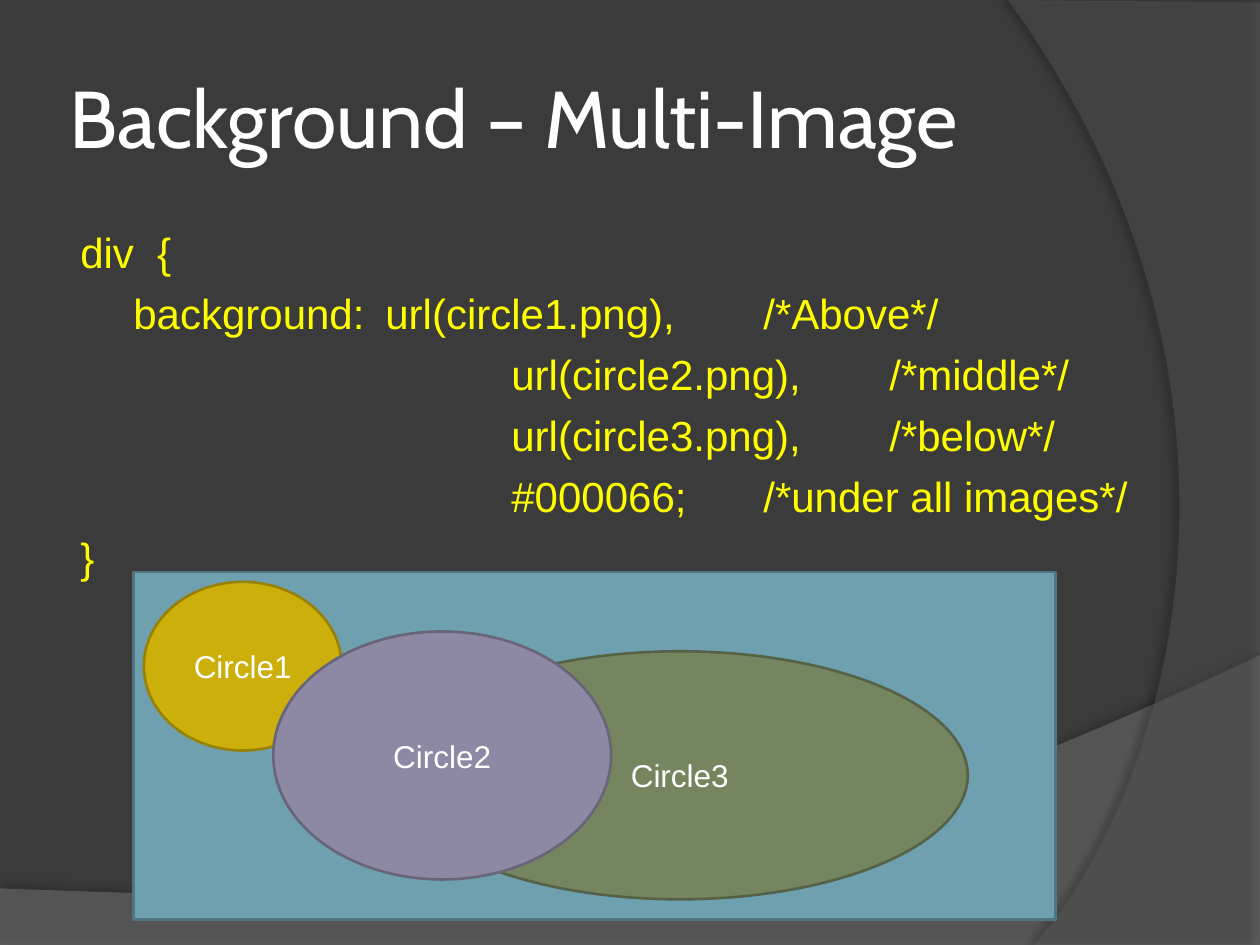
"""Build the slide on CSS backgrounds with several images."""
from lxml.etree import SubElement
from pptx import Presentation
from pptx.dml.color import RGBColor
from pptx.enum.shapes import MSO_SHAPE as Preset
from pptx.enum.text import MSO_ANCHOR as Anchor, PP_ALIGN as Align
from pptx.oxml.ns import qn
from pptx.util import Cm, Pt

BACKGROUND = RGBColor(0x3B, 0x3B, 0x3B)
BAND = RGBColor(0x7F, 0x7F, 0x7F)
ARC = RGBColor(0x5E, 0x5E, 0x5E)
WHITE = RGBColor(0xFF, 0xFF, 0xFF)
YELLOW = RGBColor(0xFF, 0xFF, 0x00)
BLUE, BLUE_EDGE = RGBColor(0x6E, 0xA0, 0xB0), RGBColor(0x51, 0x76, 0x82)
GOLD, GOLD_EDGE = RGBColor(0xCC, 0xAF, 0x0A), RGBColor(0x97, 0x81, 0x07)
GREEN, GREEN_EDGE = RGBColor(0x74, 0x85, 0x60), RGBColor(0x56, 0x62, 0x47)
MAUVE, MAUVE_EDGE = RGBColor(0x8D, 0x89, 0xA4), RGBColor(0x68, 0x65, 0x79)

CODE = [
    "div  {",
    "\tbackground:\turl(circle1.png),\t/*Above*/",
    "\t\t\t\turl(circle2.png),\t/*middle*/",
    "\t\t\t\turl(circle3.png),\t/*below*/",
    "\t\t\t\t#000066;\t/*under all images*/",
    "}",
]
CIRCLES = [
    ("Circle1", (2.9, 11.73, 3.99, 3.4), GOLD, GOLD_EDGE),
    ("Circle3", (7.9, 13.13, 11.61, 5), GREEN, GREEN_EDGE),
    ("Circle2", (5.51, 12.73, 6.81, 5), MAUVE, MAUVE_EDGE),
]


def write(frame, lines, *, size, color, font="Arial", align=Align.LEFT,
          anchor=Anchor.TOP, before=0, hanging=None):
    """Fill a text frame with one paragraph per line."""
    frame.word_wrap = True
    frame.vertical_anchor = anchor
    for number, line in enumerate(lines):
        paragraph = frame.add_paragraph() if number else frame.paragraphs[0]
        paragraph.alignment = align
        paragraph.space_before = Pt(before)
        if hanging:
            margin, indent = hanging
            properties = paragraph._p.get_or_add_pPr()
            properties.set("marL", str(Cm(margin)))
            properties.set("indent", str(Cm(indent)))
            properties.set("defTabSz", str(Cm(2.54)))
        run = paragraph.add_run()
        run.text = line
        run.font.name = font
        run.font.size = Pt(size)
        run.font.color.rgb = color


def add_text(slide, box, lines, **text_format):
    """Add a text box and return its frame."""
    frame = slide.shapes.add_textbox(*map(Cm, box)).text_frame
    write(frame, lines, **text_format)
    return frame


def add_figure(slide, preset, box, fill, edge):
    """Add an outlined preset shape."""
    figure = slide.shapes.add_shape(preset, *map(Cm, box))
    figure.shadow.inherit = False
    figure.fill.solid()
    figure.fill.fore_color.rgb = fill
    figure.line.color.rgb = edge
    figure.line.width = Pt(1.5)
    return figure


def curve_points(start, pull_out, pull_in, end, steps=60):
    """Return points along a cubic curve, without its start."""
    points = []
    for step in range(1, steps + 1):
        t = step / steps
        weights = ((1 - t) ** 3, 3 * t * (1 - t) ** 2, 3 * t * t * (1 - t), t ** 3)
        points.append(tuple(
            sum(weight * value for weight, value in zip(weights, axis))
            for axis in zip(start, pull_out, pull_in, end)))
    return points


def add_sweep(slide, corners, curve, fill, opacity, shade, distance, direction):
    """Add a translucent, shadowed area bounded by corners and a curve."""
    points = [(Cm(x), Cm(y)) for x, y in corners + curve_points(corners[-1], *curve)]
    builder = slide.shapes.build_freeform(*points[0])
    builder.add_line_segments(points[1:], close=True)
    sweep = builder.convert_to_shape()
    sweep.shadow.inherit = False
    sweep.fill.solid()
    sweep.fill.fore_color.rgb = fill
    sweep.line.fill.background()
    properties = sweep._element.spPr
    tint = properties.find(qn("a:solidFill")).find(qn("a:srgbClr"))
    SubElement(tint, qn("a:alpha"), val=str(opacity * 1000))
    shadow = SubElement(properties.find(qn("a:effectLst")), qn("a:outerShdw"),
                        blurRad=str(Pt(4)), dist=str(Pt(distance)),
                        dir=str(direction * 60000), algn="ctr", rotWithShape="0")
    black = SubElement(shadow, qn("a:srgbClr"), val="000000")
    SubElement(black, qn("a:alpha"), val=str(shade * 1000))


def main():
    """Build and save the slide."""
    deck = Presentation()
    deck.slide_width, deck.slide_height = Cm(25.4), Cm(19.05)
    slide = deck.slides.add_slide(deck.slide_layouts[6])
    slide.background.fill.solid()
    slide.background.fill.fore_color.rgb = BACKGROUND

    add_sweep(slide, [(0, 17.91), (0, 19.05), (25.4, 19.05), (25.4, 13.21)],
              [(14.2, 18.52), (9.93, 18.26), (0, 17.91)], BAND, 45, 35, 3.5, 270)
    add_sweep(slide, [(25.4, 0.05), (25.4, 19.05), (20.85, 19.05)],
              [(23.75, 15.72), (25.86, 7.62), (20.32, 0)], ARC, 40, 45, 4, 180)

    title = add_text(slide, (1.27, 0.76, 23.42, 3.18), ["Background – Multi-Image"],
                     size=46, color=WHITE, font="Cabin", anchor=Anchor.MIDDLE)
    title.margin_left = title.margin_right = Cm(0.13)
    add_text(slide, (1.27, 4.45, 23.24, 13.87), CODE, size=24, color=YELLOW,
             before=6, hanging=(1.17, -1.07))

    add_figure(slide, Preset.RECTANGLE, (2.69, 11.53, 18.59, 7.01), BLUE, BLUE_EDGE)
    for name, box, fill, edge in CIRCLES:
        circle = add_figure(slide, Preset.OVAL, box, fill, edge)
        write(circle.text_frame, [name], size=18, color=WHITE,
              align=Align.CENTER, anchor=Anchor.MIDDLE)

    deck.save("out.pptx")


if __name__ == "__main__":
    main()
